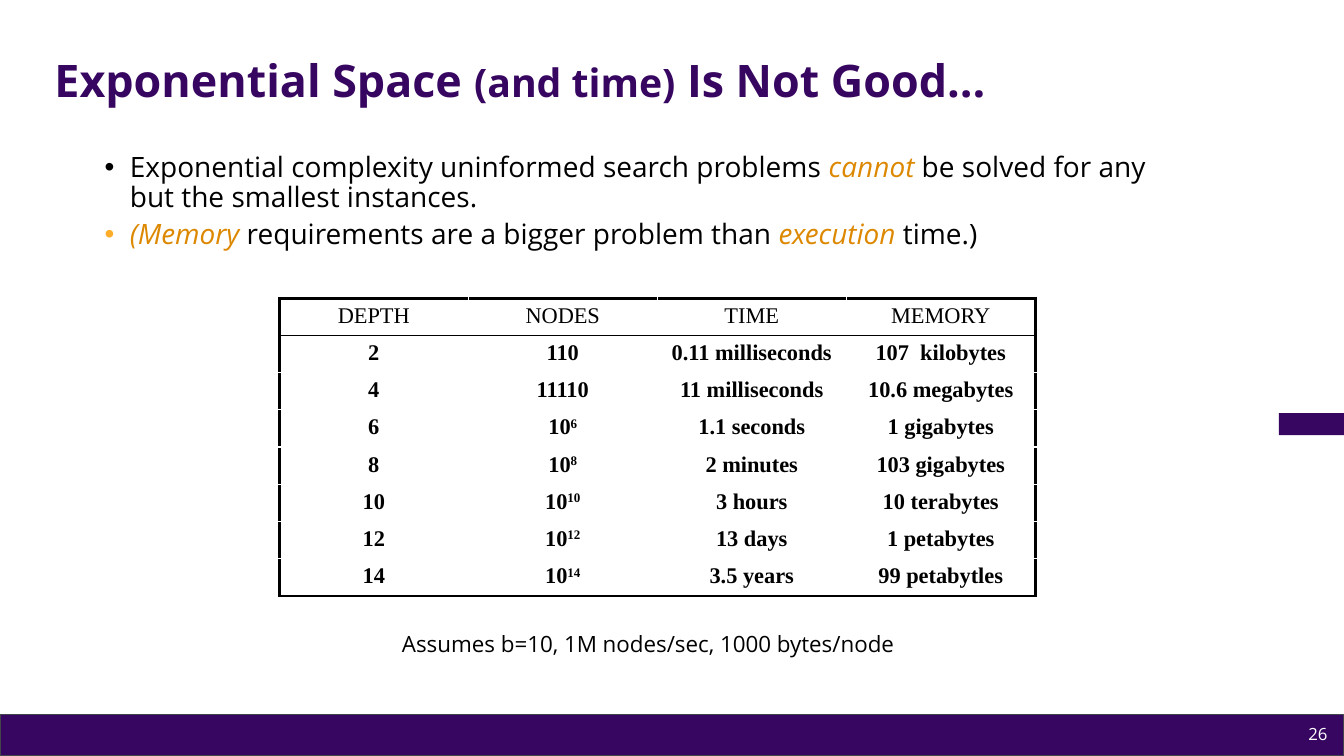
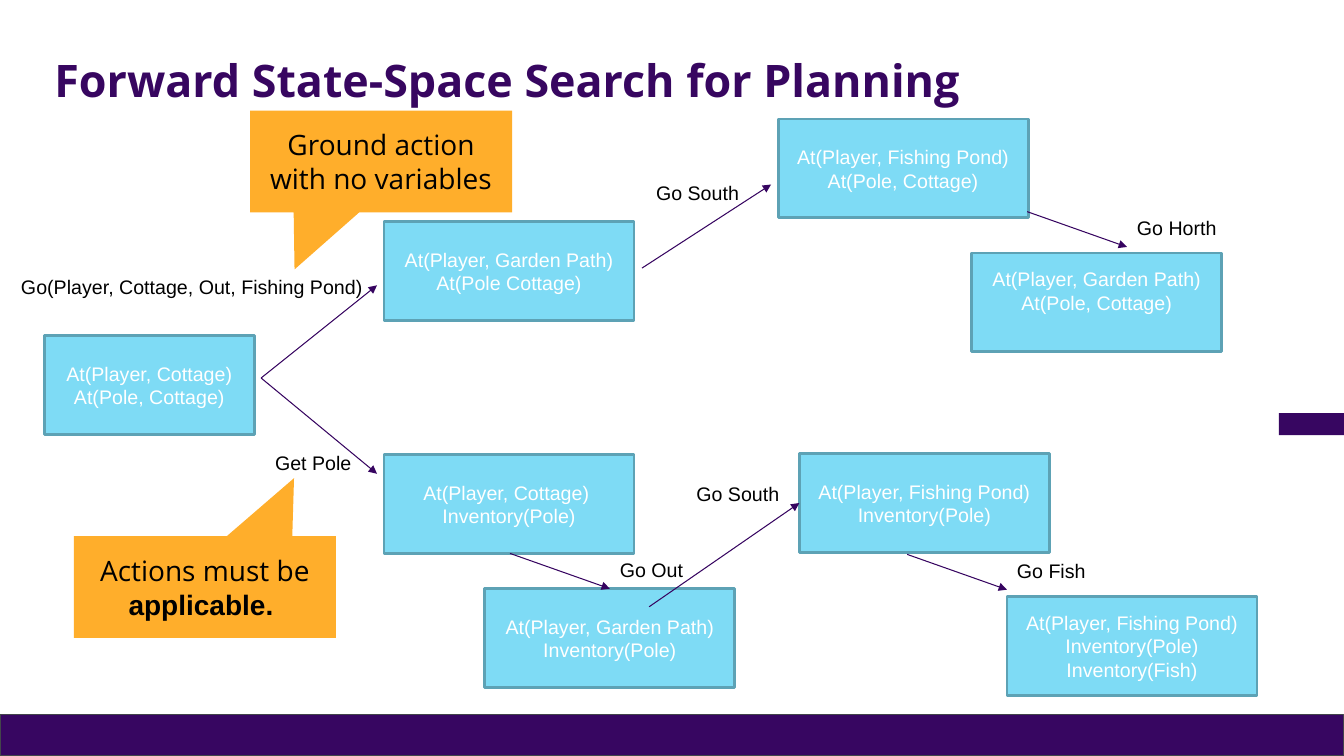
from lxml import etree
from pptx import Presentation
from pptx.dml.color import RGBColor
from pptx.enum.shapes import MSO_CONNECTOR, MSO_SHAPE
from pptx.enum.text import MSO_ANCHOR, PP_ALIGN
from pptx.oxml.ns import qn
from pptx.util import Pt

RECTANGLE = MSO_SHAPE.RECTANGLE
CALLOUT = MSO_SHAPE.ROUNDED_RECTANGULAR_CALLOUT
STRAIGHT = MSO_CONNECTOR.STRAIGHT
MIDDLE, TOP = MSO_ANCHOR.MIDDLE, MSO_ANCHOR.TOP
LEFT, CENTER, RIGHT = PP_ALIGN.LEFT, PP_ALIGN.CENTER, PP_ALIGN.RIGHT

COLORS = {
    "title": "370660",
    "band": "370661",
    "band_line": "43454B",
    "arrow": "360460",
    "state": "7EDBF5",
    "state_line": "5DA2B5",
    "callout": "FFAE2B",
    "emphasis": "DD8801",
    "bullet": "FEAD2B",
    "black": "000000",
    "white": "FFFFFF",
}
SANS, ARIAL, SERIF = "Open Sans", "Arial", "Times New Roman"
SLIDE_WIDTH, SLIDE_HEIGHT = 960, 540
STATE_WIDTH, STATE_HEIGHT = 178.6, 70.6
TABLE_COLUMN_WIDTH, TABLE_ROW_HEIGHT = 135, 26.6

COMPLEXITY_ROWS = [
    ("DEPTH", "NODES", "TIME", "MEMORY"),
    ("2", "110", "0.11 milliseconds", "107  kilobytes"),
    ("4", "11110", "11 milliseconds", "10.6 megabytes"),
    ("6", "10^6", "1.1 seconds", "1 gigabytes"),
    ("8", "10^8", "2 minutes", "103 gigabytes"),
    ("10", "10^10", "3 hours", "10 terabytes"),
    ("12", "10^12", "13 days", "1 petabytes"),
    ("14", "10^14", "3.5 years", "99 petabytles"),
]
STATES = [
    (31.7, 239.8, "At(Player, Cottage)\nAt(Pole, Cottage)", {"width": 150}),
    (274.3, 158.4, "At(Player, Garden Path)\nAt(Pole Cottage)", {}),
    (274.3, 324.7, "At(Player, Cottage) \nInventory(Pole)", {}),
    (555.8, 85, "At(Player, Fishing Pond)\nAt(Pole, Cottage)", {}),
    (346.3, 420.5, "At(Player, Garden Path)\nInventory(Pole)", {}),
    (571, 324, "At(Player, Fishing Pond)\nInventory(Pole)", {}),
    (719.3, 426.2, "At(Player, Fishing Pond)\nInventory(Pole)\nInventory(Fish)", {}),
    (694.1, 180.7, "At(Player, Garden Path)\nAt(Pole, Cottage)", {"bottom_inset": 20}),
]
ARROWS = [
    (186.5, 270, 269.3, 203.8),
    (186.5, 270, 269.3, 338.4),
    (458.6, 191.5, 550.8, 131.8),
    (364.3, 395.3, 435.6, 420.5),
    (463.7, 433.4, 571, 359.3),
    (648, 396, 719.3, 421.2),
    (733.7, 151.2, 805, 176.4),
]
ACTIONS = [
    (7.9, 193, 260.6, "Go(Player, Cottage, Out, Fishing Pond)"),
    (189.4, 318.2, 69, "Get Pole"),
    (461.5, 125.3, 74, "Go South"),
    (435.6, 394.6, 60, "Go Out"),
    (490.3, 340.6, 74, "Go South"),
    (719.3, 395.3, 64, "Go Fish"),
    (805, 150.5, 72, "Go Horth"),
]


def color(name):
    return RGBColor.from_string(COLORS[name])


def format_run(run, size, font=SANS, color_name="black", bold=False, italic=False):
    run.font.size = Pt(size)
    run.font.name = font
    run.font.color.rgb = color(color_name)
    run.font.bold = bold
    run.font.italic = italic


def add_run(paragraph, text, size, **style):
    run = paragraph.add_run()
    run.text = text
    format_run(run, size, **style)
    return run


def format_text(text_frame, size, alignment, **style):
    for paragraph in text_frame.paragraphs:
        paragraph.alignment = alignment
        for run in paragraph.runs:
            format_run(run, size, **style)


def add_box(slide, preset, left, top, width, height, fill, line=None, line_width=1):
    shape = slide.shapes.add_shape(preset, Pt(left), Pt(top), Pt(width), Pt(height))
    shape.shadow.inherit = False
    shape.fill.solid()
    shape.fill.fore_color.rgb = color(fill)
    if line:
        shape.line.color.rgb = color(line)
        shape.line.width = Pt(line_width)
    else:
        shape.line.fill.background()
    return shape


def add_text(slide, left, top, width, height, text="", size=16, alignment=LEFT,
             anchor=MIDDLE, wrap=True, **style):
    box = slide.shapes.add_textbox(Pt(left), Pt(top), Pt(width), Pt(height))
    text_frame = box.text_frame
    text_frame.word_wrap = wrap
    text_frame.vertical_anchor = anchor
    text_frame.text = text
    format_text(text_frame, size, alignment, **style)
    return text_frame


def add_bands_to_layout(slide):
    bands = [
        add_box(slide, RECTANGLE, 0, 510.5, SLIDE_WIDTH, 29.5, "band", "band_line", 0.75),
        add_box(slide, RECTANGLE, 913.5, 295, 46.5, 15.8, "band"),
    ]
    for band in bands:
        slide.slide_layout.shapes.element.append(band.element)


def add_title(slide, parts):
    title = slide.shapes.title
    title.left, title.top, title.width, title.height = Pt(31.7), Pt(28.8), Pt(862.6), Pt(60.5)
    title.text_frame.vertical_anchor = MIDDLE
    paragraph = title.text_frame.paragraphs[0]
    paragraph.alignment = LEFT
    paragraph.line_spacing = 0.9
    for text, size in parts:
        add_run(paragraph, text, size, color_name="title", bold=True)


def add_bullet(paragraph, bullet_color, parts):
    properties = paragraph._p.get_or_add_pPr()
    properties.set("marL", str(Pt(54)))
    properties.set("indent", str(-Pt(18)))
    paragraph.line_spacing = 0.9
    bullet_fill = etree.SubElement(properties, qn("a:buClr"))
    etree.SubElement(bullet_fill, qn("a:srgbClr"), val=COLORS[bullet_color])
    etree.SubElement(properties, qn("a:buFont"), typeface=ARIAL)
    etree.SubElement(properties, qn("a:buChar"), char="•")
    for text, emphasized in parts:
        add_run(paragraph, text, 20, italic=emphasized,
                color_name="emphasis" if emphasized else "black")


def set_borders(cell, widths):
    properties = cell._tc.get_or_add_tcPr()
    sides = [side for side in ("lnL", "lnR", "lnT", "lnB") if side in widths]
    for index, side in enumerate(sides):
        line = etree.Element(qn(f"a:{side}"), w=str(Pt(widths[side])))
        fill = etree.SubElement(line, qn("a:solidFill"))
        etree.SubElement(fill, qn("a:srgbClr"), val=COLORS["black"])
        properties.insert(index, line)


def fill_cell(cell, text, bold):
    cell.fill.background()
    paragraph = cell.text_frame.paragraphs[0]
    paragraph.alignment = CENTER
    base, _, exponent = text.partition("^")
    add_run(paragraph, base, 16, font=SERIF, bold=bold)
    if exponent:
        run = add_run(paragraph, exponent, 16, font=SERIF, bold=bold)
        run._r.get_or_add_rPr().set("baseline", "30000")


def add_complexity_table(slide, left, top, rows):
    row_count, column_count = len(rows), len(rows[0])
    table = slide.shapes.add_table(
        row_count, column_count, Pt(left), Pt(top),
        Pt(column_count * TABLE_COLUMN_WIDTH), Pt(row_count * TABLE_ROW_HEIGHT)).table
    table.first_row = False
    table.horz_banding = False
    for row in table.rows:
        row.height = Pt(TABLE_ROW_HEIGHT)
    for row_index, values in enumerate(rows):
        for column_index, value in enumerate(values):
            cell = table.cell(row_index, column_index)
            fill_cell(cell, value, bold=row_index > 0)
            widths = {}
            if column_index == 0:
                widths["lnL"] = 2.25
            if column_index == column_count - 1:
                widths["lnR"] = 2.25
            if row_index == 0:
                widths.update(lnT=2.25, lnB=1)
            if row_index == 1:
                widths["lnT"] = 1
            if row_index == row_count - 1:
                widths["lnB"] = 2.25
            set_borders(cell, widths)


def add_state(slide, left, top, text, width=STATE_WIDTH, bottom_inset=3.6):
    shape = add_box(slide, RECTANGLE, left, top, width, STATE_HEIGHT, "state", "state_line", 2)
    text_frame = shape.text_frame
    text_frame.vertical_anchor = MIDDLE
    text_frame.margin_bottom = Pt(bottom_inset)
    text_frame.text = text
    format_text(text_frame, 14, CENTER, font=ARIAL, color_name="white")


def add_arrow(slide, start_x, start_y, end_x, end_y):
    connector = slide.shapes.add_connector(
        STRAIGHT, Pt(start_x), Pt(start_y), Pt(end_x), Pt(end_y))
    connector.line.color.rgb = color("arrow")
    connector.line.width = Pt(0.75)
    etree.SubElement(connector.line._get_or_add_ln(), qn("a:tailEnd"), type="triangle")
    etree.SubElement(connector.element.spPr, qn("a:effectLst"))


def add_callout(slide, left, top, tip_x, tip_y):
    shape = add_box(slide, CALLOUT, left, top, 187.2, 72.7, "callout")
    for index, value in enumerate((tip_x, tip_y, 0)):
        shape.adjustments[index] = value
    text_frame = shape.text_frame
    text_frame.word_wrap = True
    text_frame.vertical_anchor = MIDDLE
    text_frame.margin_top = text_frame.margin_bottom = Pt(7.2)
    paragraph = text_frame.paragraphs[0]
    paragraph.alignment = CENTER
    return paragraph


def build_complexity_slide(slide):
    add_title(slide, [("Exponential Space ", 32), ("(and time)", 28), (" Is Not Good...", 32)])
    body = add_text(slide, 31.7, 105.8, 828, 80, anchor=TOP)
    add_bullet(body.paragraphs[0], "black", [
        ("Exponential complexity uninformed search problems ", False),
        ("cannot ", True),
        ("be solved for any but the smallest instances.", False)])
    memory = body.add_paragraph()
    memory.space_before = Pt(5)
    add_bullet(memory, "bullet", [
        ("(Memory ", True),
        ("requirements are a bigger problem than ", False),
        ("execution ", True),
        ("time.)", False)])
    add_complexity_table(slide, 199.5, 213, COMPLEXITY_ROWS)
    add_text(slide, 263, 444, 400, 32, "Assumes b=10, 1M nodes/sec, 1000 bytes/node",
             alignment=CENTER)
    add_text(slide, 739.4, 509.8, 216, 28.8, "26", 12, RIGHT, color_name="white")


def build_planning_slide(slide):
    add_title(slide, [("Forward State-Space Search for Planning", 32)])
    for left, top, text, options in STATES:
        add_state(slide, left, top, text, **options)
    for arrow in ARROWS:
        add_arrow(slide, *arrow)
    for left, top, width, text in ACTIONS:
        add_text(slide, left, top, width, 24.2, text, 14, wrap=False, font=ARIAL)
    ground = add_callout(slide, 178.6, 79, -0.33, 1.06)
    add_run(ground, "Ground action with no variables", 20)
    applicable = add_callout(slide, 52.8, 383, 0.34, -1.07)
    add_run(applicable, "Actions must be ", 20)
    add_run(applicable, "applicable. ", 20, font=ARIAL, bold=True)


def main():
    presentation = Presentation()
    presentation.slide_width = Pt(SLIDE_WIDTH)
    presentation.slide_height = Pt(SLIDE_HEIGHT)
    title_only = presentation.slide_layouts[5]
    complexity_slide = presentation.slides.add_slide(title_only)
    add_bands_to_layout(complexity_slide)
    build_complexity_slide(complexity_slide)
    build_planning_slide(presentation.slides.add_slide(title_only))
    presentation.save("out.pptx")


if __name__ == "__main__":
    main()
